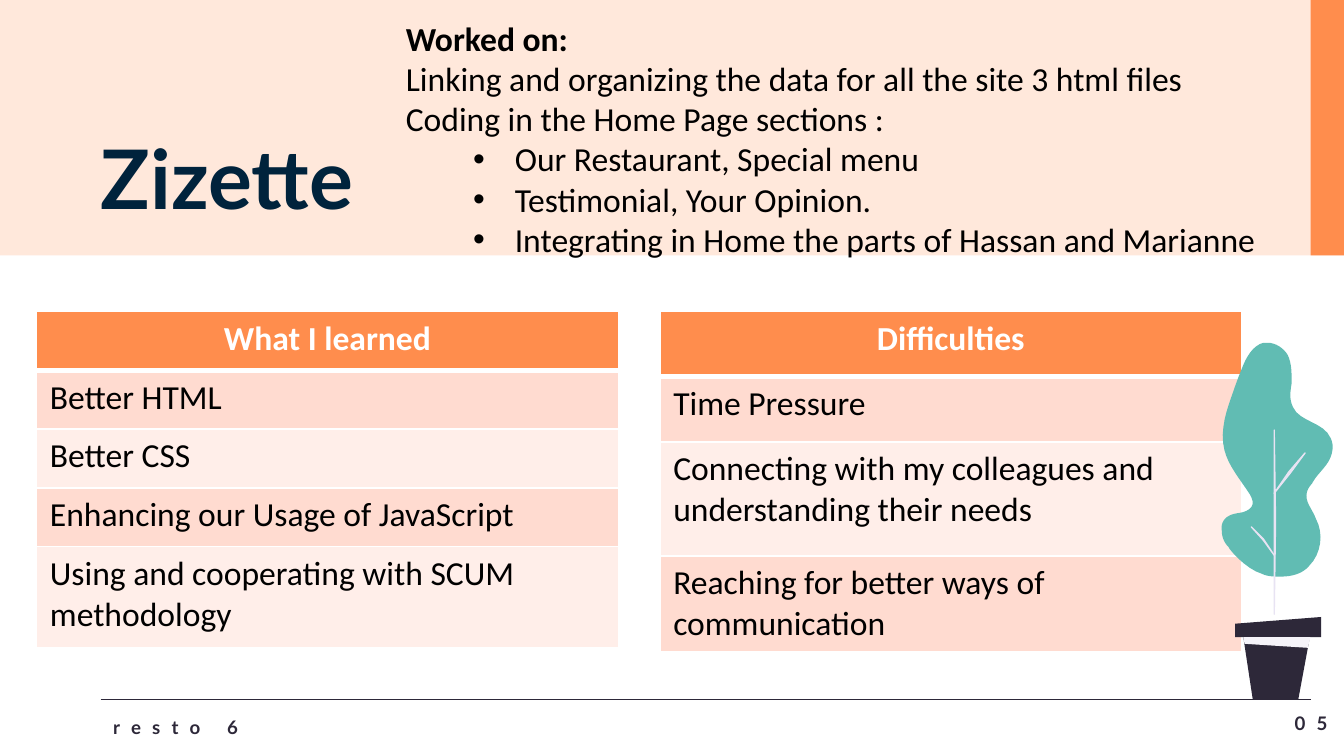
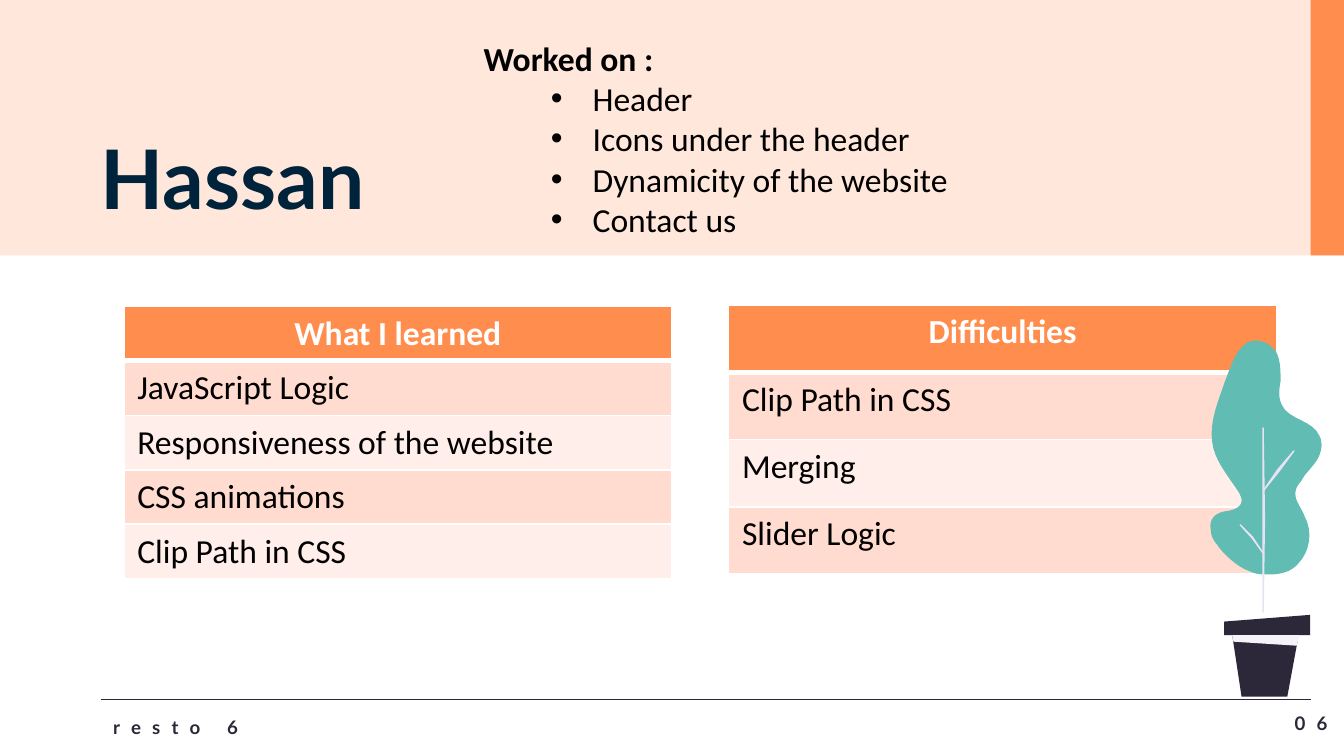
from lxml import etree
from pptx import Presentation
from pptx import util as u
from pptx.dml.color import RGBColor
from pptx.enum import shapes, text
from pptx.oxml import ns

PEACH = RGBColor(0xFF, 0xE8, 0xDB)
ORANGE = RGBColor(0xFF, 0x8D, 0x4D)
NAVY = RGBColor(0x00, 0x23, 0x3C)
INK = RGBColor(0x2D, 0x28, 0x39)
BLACK = RGBColor(0, 0, 0)
WHITE = RGBColor(0xFF, 0xFF, 0xFF)
ROW_DARK = RGBColor(0xFF, 0xDB, 0xD0)
ROW_LIGHT = RGBColor(0xFF, 0xEE, 0xE9)
LEAF_GREEN = RGBColor(0x61, 0xBC, 0xB3)
VEIN = RGBColor(0xE8, 0xE3, 0xF3)
POT_SHINE = RGBColor(0xF5, 0xF3, 0xF9)

PLANT_UNIT = u.Cm(0.0254)
LEAF_START = (36, 0)
LEAF_CURVES = [
    (35, 0, 34, 0, 33, 0), (25, 2, 20, 11, 17, 19),
    (15, 24, 13, 29, 11, 35), (6, 49, 0, 65, 4, 80),
    (7, 92, 16, 102, 23, 113), (24, 115, 25, 117, 25, 119),
    (25, 123, 21, 125, 18, 126), (14, 127, 10, 127, 7, 129),
    (3, 131, 1, 136, 2, 140), (2, 145, 4, 149, 7, 152),
    (7, 153, 19, 168, 32, 172), (36, 174, 41, 174, 46, 174),
    (54, 174, 62, 172, 67, 166), (76, 157, 78, 142, 72, 131),
    (70, 125, 65, 120, 65, 114), (65, 110, 67, 107, 69, 105),
    (72, 99, 77, 95, 81, 89), (84, 84, 86, 77, 83, 71),
    (78, 59, 60, 59, 55, 48), (52, 42, 53, 36, 54, 30),
    (54, 23, 54, 15, 51, 9), (48, 4, 42, 0, 36, 0),
]
VEINS = [
    [(41, 65), (41, 202), (42, 133)],
    [(64, 82), (52, 96), (41, 112), (53, 97)],
    [(24, 137), (33, 147), (41, 158), (33, 146)],
]
POT_PARTS = [
    ([(69, 211), (18, 219), (25, 265), (59, 265)], INK),
    ([(76, 204), (12, 209), (12, 219), (76, 219)], INK),
    ([(18, 219), (19, 224), (66, 227), (68, 219)], POT_SHINE),
]


def style_para(para, font, size, color, bold=False, spacing=0):
    for span in para.runs:
        span.font.name = font
        span.font.size = u.Pt(size)
        span.font.color.rgb = color
        span.font.bold = bold
        if spacing:
            span.font._element.set("spc", str(spacing * 100))


def place(shape, left, top, width, height):
    shape.left, shape.top = u.Cm(left), u.Cm(top)
    shape.width, shape.height = u.Cm(width), u.Cm(height)


def prepare_frame(frame, inset_x=0, inset_y=0):
    frame.word_wrap = True
    frame.auto_size = text.MSO_AUTO_SIZE.NONE
    frame.vertical_anchor = text.MSO_ANCHOR.TOP
    frame.margin_left = frame.margin_right = u.Cm(inset_x)
    frame.margin_top = frame.margin_bottom = u.Cm(inset_y)


def add_band(page, left, width, color):
    band = page.shapes.add_shape(
        shapes.MSO_SHAPE.RECTANGLE, u.Cm(left), 0, u.Cm(width), u.Cm(4.83))
    band.shadow.inherit = False
    band.fill.solid()
    band.fill.fore_color.rgb = color
    band.line.fill.background()
    page.shapes.title.element.addprevious(band.element)


def add_label(page, wording, left, top, width, align):
    box = page.shapes.add_textbox(
        u.Cm(left), u.Cm(top), u.Cm(width), u.Cm(0.43))
    prepare_frame(box.text_frame)
    para = box.text_frame.paragraphs[0]
    para.text = wording
    para.alignment = align
    style_para(para, "Lato", 10, INK, bold=True, spacing=6)


def add_rule(page):
    rule = page.shapes.add_connector(
        shapes.MSO_CONNECTOR.STRAIGHT,
        u.Cm(1.9), u.Cm(13.23), u.Cm(24.77), u.Cm(13.23))
    rule.line.color.rgb = INK
    rule.line.width = u.Pt(0.5)
    etree.SubElement(rule.element.spPr, ns.qn("a:effectLst"))


def set_title(page, name, width):
    title = page.shapes.title
    place(title, 1.9, 2.41, width, 1.88)
    prepare_frame(title.text_frame)
    title.text_frame.text = name
    para = title.text_frame.paragraphs[0]
    para.alignment = text.PP_ALIGN.LEFT
    style_para(para, "Lato", 44, NAVY, bold=True)


def set_bullet(para, bulleted):
    props = para._p.get_or_add_pPr()
    if bulleted:
        props.set("marL", str(u.Cm(2.06)))
        props.set("indent", str(u.Cm(-0.79)))
        etree.SubElement(props, ns.qn("a:buFont"), typeface="Arial")
        etree.SubElement(props, ns.qn("a:buChar"), char="•")
    else:
        props.set("marL", "0")
        props.set("indent", "0")
        etree.SubElement(props, ns.qn("a:buNone"))


def set_tasks(page, area, heading, intro, tasks):
    body = page.placeholders[1]
    place(body, *area)
    frame = body.text_frame
    prepare_frame(frame, 0.25, 0.13)
    frame.text = "\n".join([heading, *intro, *tasks])
    for index, para in enumerate(frame.paragraphs):
        bulleted = index > len(intro)
        para.level = int(bulleted)
        para.space_before = u.Pt(0)
        set_bullet(para, bulleted)
        style_para(para, "Calibri", 18, BLACK, bold=index == 0)


def set_borders(cell, top, bottom):
    props = cell._tc.get_or_add_tcPr()
    for side, width in (("L", 1), ("R", 1), ("T", top), ("B", bottom)):
        line = etree.SubElement(
            props, ns.qn(f"a:ln{side}"), w=str(u.Pt(width)))
        fill = etree.SubElement(line, ns.qn("a:solidFill"))
        etree.SubElement(fill, ns.qn("a:srgbClr"), val=str(WHITE))


def add_list_table(page, left, top, width, heights, entries):
    table = page.shapes.add_table(
        len(entries), 1, u.Cm(left), u.Cm(top),
        u.Cm(width), u.Cm(sum(heights))).table
    table.horz_banding = False
    for index, (entry, height) in enumerate(zip(entries, heights)):
        header = index == 0
        table.rows[index].height = u.Cm(height)
        cell = table.cell(index, 0)
        set_borders(cell, 3 if index == 1 else 1, 3 if header else 1)
        cell.fill.solid()
        band = ROW_DARK if index % 2 else ROW_LIGHT
        cell.fill.fore_color.rgb = ORANGE if header else band
        cell.text_frame.text = entry
        para = cell.text_frame.paragraphs[0]
        if header:
            para.alignment = text.PP_ALIGN.CENTER
        style_para(para, "Calibri", 18, WHITE if header else BLACK, header)


def curve_points(start, curves, steps=8):
    points = [start]
    for x1, y1, x2, y2, x3, y3 in curves:
        x0, y0 = points[-1]
        for step in range(1, steps + 1):
            t = step / steps
            s = 1 - t
            weights = (s ** 3, 3 * s * s * t, 3 * s * t * t, t ** 3)
            points.append((
                sum(w * x for w, x in zip(weights, (x0, x1, x2, x3))),
                sum(w * y for w, y in zip(weights, (y0, y1, y2, y3)))))
    return points


def add_outline(group, origin, points, color, outlined=False):
    scale = 100
    scaled = [(round(x * scale), round(y * scale)) for x, y in points]
    builder = group.shapes.build_freeform(
        *scaled[0], scale=PLANT_UNIT / scale)
    builder.add_line_segments(scaled[1:], close=True)
    outline = builder.convert_to_shape(*origin)
    outline.shadow.inherit = False
    outline.fill.solid()
    outline.fill.fore_color.rgb = color
    if outlined:
        outline.line.color.rgb = color
        outline.line.width = u.Pt(0.75)
    else:
        outline.line.fill.background()


def add_plant(page, left, top):
    group = page.shapes.add_group_shape()
    origin = (u.Cm(left), u.Cm(top))
    add_outline(group, origin, curve_points(LEAF_START, LEAF_CURVES),
                LEAF_GREEN)
    for points in VEINS:
        add_outline(group, origin, points, VEIN, outlined=True)
    for points, color in POT_PARTS:
        add_outline(group, origin, points, color)


def add_page(deck, name, title_width, number):
    page = deck.slides.add_slide(deck.slide_layouts[1])
    add_band(page, 0, 25.4, PEACH)
    add_band(page, 24.77, 0.63, ORANGE)
    set_title(page, name, title_width)
    add_label(page, number, 18.16, 13.46, 6.93, text.PP_ALIGN.RIGHT)
    add_rule(page)
    add_label(page, "resto 6", 2.14, 13.54, 5.91, text.PP_ALIGN.LEFT)
    return page


def main():
    deck = Presentation()
    deck.slide_width, deck.slide_height = u.Cm(25.4), u.Cm(14.29)

    page = add_page(deck, "Zizette", 13.44, "05")
    set_tasks(
        page, (7.42, 0.2, 17.3, 5.64), "Worked on:",
        ["Linking and organizing the data for all the site 3 html files",
         "Coding in the Home Page sections :"],
        ["Our Restaurant, Special menu", "Testimonial, Your Opinion.",
         "Integrating in Home the parts of Hassan and Marianne"])
    add_list_table(
        page, 0.69, 5.89, 11, [1.11] * 4 + [1.91],
        ["What I learned", "Better HTML", "Better CSS",
         "Enhancing our Usage of JavaScript",
         "Using and cooperating with SCUM methodology"])
    add_list_table(
        page, 12.47, 5.89, 11, [1.23, 1.23, 2.16, 1.8],
        ["Difficulties", "Time Pressure",
         "Connecting with my colleagues and understanding their needs",
         "Reaching for better ways of communication"])
    add_plant(page, 23.04, 6.48)

    page = add_page(deck, "Hassan", 5.92, "06")
    set_tasks(
        page, (8.89, 0.58, 15.04, 4.11), "Worked on :", [],
        ["Header", "Icons under the header", "Dynamicity of the website",
         "Contact us"])
    add_list_table(
        page, 2.34, 5.79, 10.36, [1.03] * 5,
        ["What I learned", "JavaScript Logic",
         "Responsiveness of the website", "CSS animations",
         "Clip Path in CSS"])
    add_list_table(
        page, 13.77, 5.77, 10.36, [1.27] * 4,
        ["Difficulties", "Clip Path in CSS", "Merging", "Slider Logic"])
    add_plant(page, 22.83, 6.44)

    deck.save("out.pptx")


if __name__ == "__main__":
    main()
